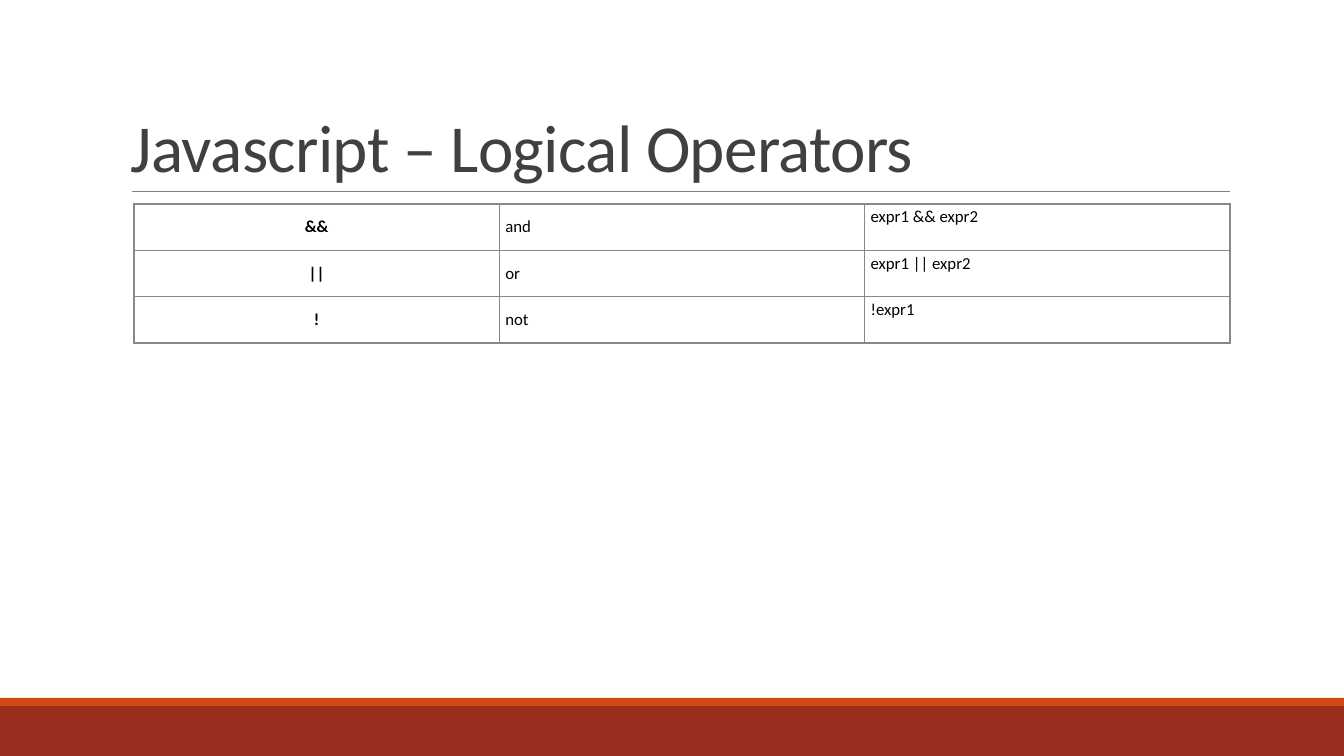
"""Build a slide with a table of logical operators."""
from lxml import etree
from pptx import Presentation
from pptx.dml.color import RGBColor
from pptx.enum.shapes import MSO_CONNECTOR, MSO_SHAPE
from pptx.enum.text import MSO_ANCHOR, PP_ALIGN
from pptx.oxml.ns import qn
from pptx.util import Pt

SCALE = 914400 / 100.8
WIDE, HIGH = 1344, 756
FONT = "Calibri"
WHITE = RGBColor(0xFF, 0xFF, 0xFF)
BLACK = RGBColor(0, 0, 0)
DARK = RGBColor(0x40, 0x40, 0x40)
GRAY = RGBColor(0x80, 0x80, 0x80)
MAUVE = RGBColor(0x91, 0x84, 0x85)
ORANGE = RGBColor(0xD3, 0x48, 0x17)
RUST = RGBColor(0x9B, 0x2D, 0x1F)
RECT, STRAIGHT = MSO_SHAPE.RECTANGLE, MSO_CONNECTOR.STRAIGHT
TOP, MIDDLE, BOTTOM = MSO_ANCHOR.TOP, MSO_ANCHOR.MIDDLE, MSO_ANCHOR.BOTTOM
LEFT, CENTER = PP_ALIGN.LEFT, PP_ALIGN.CENTER

COLUMNS = (
    {"bold": True, "align": CENTER, "anchor": MIDDLE},
    {"anchor": MIDDLE},
    {"anchor": TOP},
)
ROWS = (
    ("&&", "and", "expr1 && expr2"),
    ("||", "or", "expr1 || expr2"),
    ("!", "not", "!expr1"),
)


def px(*values):
    return [round(v * SCALE) for v in values]


def write(frame, text, size=12, color=BLACK, bold=False, align=LEFT,
          leading=1.0, tracking=0):
    para = frame.paragraphs[0]
    para.alignment = align
    para.line_spacing = leading
    run = para.add_run()
    run.text = text
    font = run.font
    font.name, font.size, font.bold = FONT, Pt(size), bold
    font.color.rgb = color
    if tracking:
        font._element.set("spc", str(round(tracking * 100)))


class Canvas:
    def __init__(self, slide):
        self.slide = slide
        self.shapes = slide.shapes
        slide.background.fill.solid()
        slide.background.fill.fore_color.rgb = WHITE

    def band(self, top, height, color):
        shape = self.shapes.add_shape(RECT, *px(0, top, WIDE, height))
        shape.shadow.inherit = False
        shape.fill.solid()
        shape.fill.fore_color.rgb = color
        shape.line.fill.background()

    def rule(self, left, right, y):
        line = self.shapes.add_connector(STRAIGHT, *px(left, y, right, y))
        line.line.color.rgb = GRAY
        line.line.width = Pt(0.5)
        etree.SubElement(line._element.spPr, qn("a:effectLst"))

    def title(self, box, text, **style):
        frame = self.shapes.add_textbox(*px(*box)).text_frame
        frame.word_wrap = True
        frame.vertical_anchor = BOTTOM
        write(frame, text, **style)

    def table(self, box, rows, columns):
        grid = self.shapes.add_table(len(rows), len(columns), *px(*box)).table
        grid.first_row = grid.horz_banding = False
        for r, row in enumerate(rows):
            for c, (text, style) in enumerate(zip(row, columns)):
                self.cell(grid.cell(r, c), text, **style)

    def cell(self, cell, text, anchor, **style):
        cell.margin_left, cell.margin_right = px(6, 6)
        cell.margin_top, cell.margin_bottom = px(3, 3)
        cell.vertical_anchor = anchor
        props = cell._tc.get_or_add_tcPr()
        for side in ("lnL", "lnR", "lnT", "lnB"):
            edge = etree.SubElement(props, qn(f"a:{side}"), w=str(Pt(1)))
            fill = etree.SubElement(edge, qn("a:solidFill"))
            etree.SubElement(fill, qn("a:srgbClr"), val=str(MAUVE))
        cell.fill.background()
        write(cell.text_frame, text, **style)


def main():
    deck = Presentation()
    deck.slide_width, deck.slide_height = px(WIDE, HIGH)
    canvas = Canvas(deck.slides.add_slide(deck.slide_layouts[6]))
    canvas.band(706, 50, RUST)
    canvas.band(698, 8, ORANGE)
    canvas.rule(132, 1230, 191)
    canvas.title((121, 31, 1109, 160), "Javascript – Logical Operators",
                 size=48, color=DARK, leading=0.85, tracking=-0.5)
    canvas.table((134, 204, 1096, 139), ROWS, COLUMNS)
    deck.save("out.pptx")


main()
